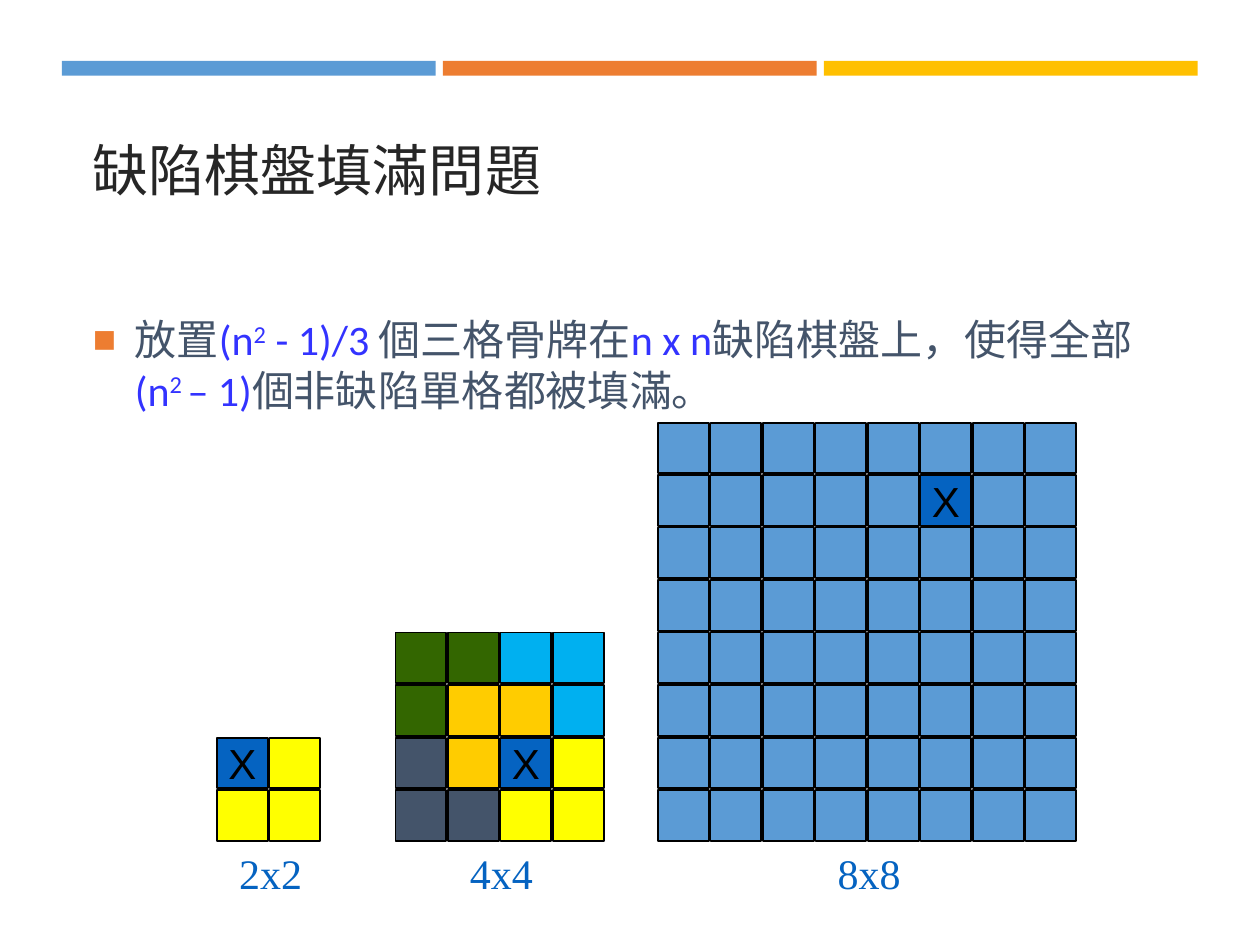
from dataclasses import dataclass

from lxml import etree
from pptx import Presentation
from pptx.dml.color import RGBColor
from pptx.enum.shapes import MSO_SHAPE
from pptx.enum.text import MSO_ANCHOR, PP_ALIGN
from pptx.oxml.ns import qn
from pptx.shapes.autoshape import Shape
from pptx.slide import Slide
from pptx.text.text import TextFrame, _Paragraph
from pptx.util import Pt

RECT = MSO_SHAPE.RECTANGLE
TOP, MIDDLE = MSO_ANCHOR.TOP, MSO_ANCHOR.MIDDLE
LEFT, CENTER = PP_ALIGN.LEFT, PP_ALIGN.CENTER

BLACK = RGBColor(0x00, 0x00, 0x00)
INK = RGBColor(0x26, 0x26, 0x26)
SLATE = RGBColor(0x44, 0x54, 0x6A)
MATH = RGBColor(0x33, 0x33, 0xFF)
BLUE = RGBColor(0x5B, 0x9B, 0xD5)
ORANGE = RGBColor(0xED, 0x7D, 0x31)
GOLD = RGBColor(0xFF, 0xC0, 0x00)
ROYAL = RGBColor(0x05, 0x63, 0xC1)
YELLOW = RGBColor(0xFF, 0xFF, 0x00)
GREEN = RGBColor(0x33, 0x66, 0x00)
AMBER = RGBColor(0xFF, 0xCC, 0x00)
SKY = RGBColor(0x00, 0xB0, 0xF0)

TILES = {"Y": YELLOW, "G": GREEN, "C": SKY, "A": AMBER,
         "S": SLATE, "B": BLUE, "X": ROYAL}
PITCH, CELL = 30, 29
BASE = 481.5  # lower edge of the bottom row of cells


@dataclass(frozen=True)
class Board:
    left: float
    rows: tuple[str, ...]  # one letter per cell, X marks the defect
    label: str
    label_left: float


@dataclass(frozen=True)
class Span:
    text: str
    color: RGBColor
    raised: bool = False


BOARDS = (
    Board(124, ("XY", "YY"), "2x2", 129.6),
    Board(226, ("GGCC", "GAAC", "SAXY", "SSYY"), "4x4", 261.4),
    Board(376, ("BBBBBBBB", "BBBBBXBB") + ("BBBBBBBB",) * 6, "8x8", 471.6),
)

SPANS = (
    Span("放置", SLATE),
    Span("(n", MATH), Span("2", MATH, True), Span(" - 1)/3 ", MATH),
    Span("個三格骨牌在", SLATE),
    Span("n x n", MATH),
    Span("缺陷棋盤上，使得全部", SLATE),
    Span("(n", MATH), Span("2 ", MATH, True), Span("– 1)", MATH),
    Span("個非缺陷單格都被填滿。", SLATE),
)


def write(frame: TextFrame, text: str, *, size: float = 24,
          font: str = "Calibri", color: RGBColor = BLACK,
          align: PP_ALIGN = LEFT, raised: bool = False) -> None:
    """Append one run to the first paragraph of the frame."""
    para = frame.paragraphs[0]
    para.alignment = align
    run = para.add_run()
    run.text = text
    run.font.size, run.font.name = Pt(size), font
    run.font.color.rgb = color
    if raised:
        run.font._element.set("baseline", "30000")


def add_box(slide: Slide, x: float, y: float, w: float, h: float,
            anchor: MSO_ANCHOR = TOP) -> TextFrame:
    frame = slide.shapes.add_textbox(Pt(x), Pt(y), Pt(w), Pt(h)).text_frame
    frame.word_wrap = True
    frame.vertical_anchor = anchor
    return frame


def add_rect(slide: Slide, x: float, y: float, w: float, h: float,
             fill: RGBColor) -> Shape:
    rect = slide.shapes.add_shape(RECT, Pt(x), Pt(y), Pt(w), Pt(h))
    rect.shadow.inherit = False
    rect.fill.solid()
    rect.fill.fore_color.rgb = fill
    rect.line.fill.background()
    return rect


def add_bullet(para: _Paragraph, color: RGBColor) -> None:
    props = para._p.get_or_add_pPr()
    props.set("marL", str(Pt(24)))
    props.set("indent", str(-Pt(24)))
    tint = etree.SubElement(props, qn("a:buClr"))
    etree.SubElement(tint, qn("a:srgbClr"), val=str(color))
    etree.SubElement(props, qn("a:buSzPct"), val="92000")
    etree.SubElement(props, qn("a:buFont"), typeface="Arial")
    etree.SubElement(props, qn("a:buChar"), char="■")


def add_board(slide: Slide, board: Board) -> None:
    top = BASE - PITCH * len(board.rows)
    for r, row in enumerate(board.rows):
        for c, key in enumerate(row):
            cell = add_rect(slide, board.left + c * PITCH, top + r * PITCH,
                            CELL, CELL, TILES[key])
            cell.line.color.rgb = BLACK
            cell.line.width = Pt(1)
            if key == "X":
                frame = cell.text_frame
                frame.word_wrap = False
                frame.vertical_anchor = MIDDLE
                write(frame, key, font="Arial", align=CENTER)
    label = add_box(slide, board.label_left, 481, 60, 36)
    write(label, board.label, font="Times New Roman", color=ROYAL)


def main() -> None:
    deck = Presentation()
    deck.slide_width, deck.slide_height = Pt(720), Pt(540)
    slide = deck.slides.add_slide(deck.slide_layouts[6])

    for i, color in enumerate((BLUE, ORANGE, GOLD)):
        add_rect(slide, 35.4 + i * 217.7, 34.8, 213.6, 8.4, color)

    title = add_box(slide, 46, 54, 629, 85, MIDDLE)
    write(title, "缺陷棋盤填滿問題", size=32, color=INK)

    body = add_box(slide, 46, 175.7, 629, 62)
    add_bullet(body.paragraphs[0], ORANGE)
    for span in SPANS:
        write(body, span.text, color=span.color, raised=span.raised)

    for board in BOARDS:
        add_board(slide, board)
    deck.save("out.pptx")


if __name__ == "__main__":
    main()
